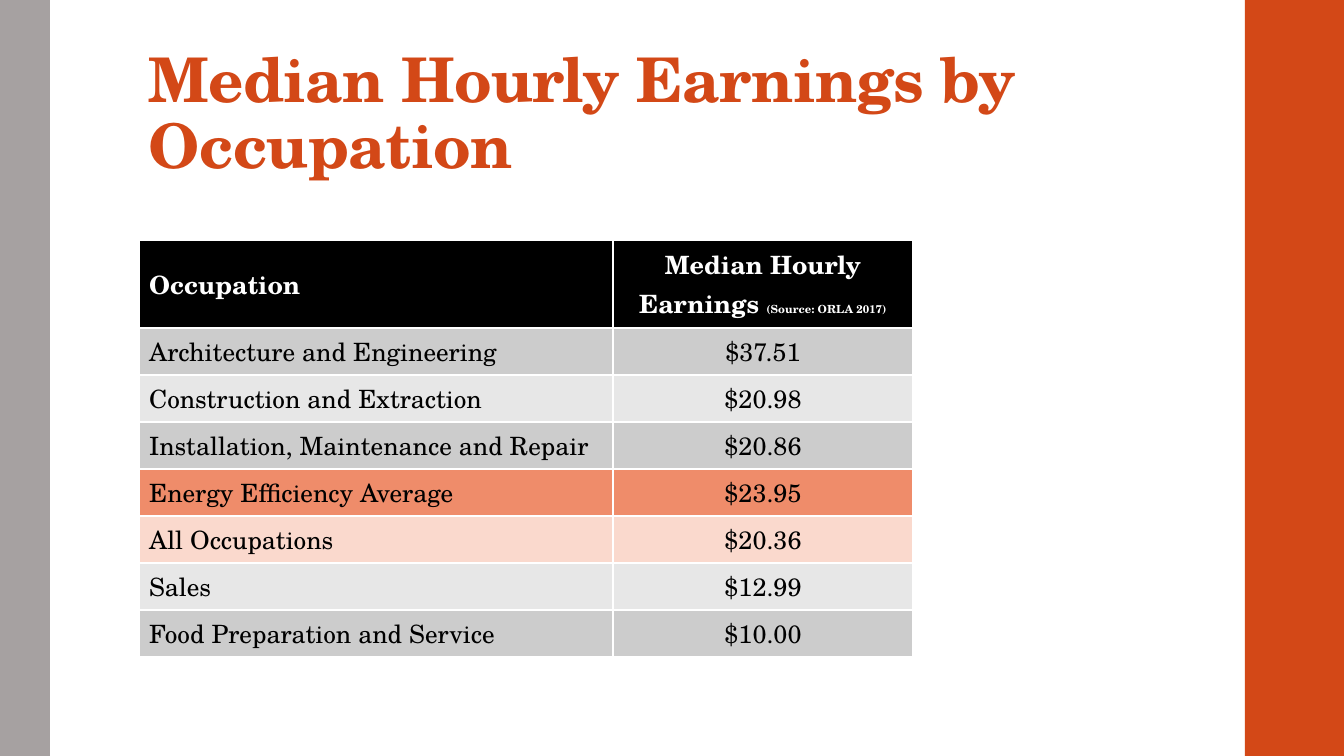
"""Build a slide with a table of median hourly earnings by occupation."""
from pptx import Presentation
from pptx.dml.color import RGBColor as Rgb
from pptx.enum.shapes import MSO_SHAPE as Kind
from pptx.enum.text import MSO_ANCHOR as Anchor, PP_ALIGN as Align
from pptx.util import Pt

THEME = {
    "font": "TeX Gyre Schola",
    "rust": "D34817", "stone": "A6A1A1", "white": "FFFFFF", "black": "000000",
    "dark": "CCCCCC", "light": "E7E7E7", "coral": "EF8C6A", "blush": "FAD9CD",
    "title": 44, "body": 18, "note": 8,
}
TITLE = "Median Hourly Earnings by Occupation"
HEAD = ["Occupation"], ["Median Hourly Earnings ", "(Source: ORLA 2017)"]
ROWS = [
    ("Architecture and Engineering", "$37.51", "dark"),
    ("Construction and Extraction", "$20.98", "light"),
    ("Installation, Maintenance and Repair", "$20.86", "dark"),
    ("Energy Efficiency Average", "$23.95", "coral"),
    ("All Occupations", "$20.36", "blush"),
    ("Sales", "$12.99", "light"),
    ("Food Preparation and Service", "$10.00", "dark"),
]
BANDS = [(1245, 99, "rust"), (0, 50, "stone")]
WIDE, HIGH = 1344, 756
TITLE_BOX = 139, 32, 1068, 155
LEFT, TOP = 139, 240
COLS = 474, 300
HEAD_H, ROW_H = 88, 47


def px(size):
    return round(size * 914400 / 100.8)


def color(name):
    return Rgb.from_string(THEME[name])


def style(font, size, ink, bold=False):
    font.name, font.size, font.bold = THEME["font"], Pt(THEME[size]), bold
    font.color.rgb = color(ink)


def paint(item, name):
    item.fill.solid()
    item.fill.fore_color.rgb = color(name)


def write(cell, parts, col, fill, ink="black", bold=False):
    paint(cell, fill)
    cell.vertical_anchor = Anchor.MIDDLE
    para = cell.text_frame.paragraphs[0]
    para.alignment = Align.CENTER if col else Align.LEFT
    for part, size in zip(parts, ("body", "note")):
        run = para.add_run()
        run.text = part
        style(run.font, size, ink, bold)


deck = Presentation()
deck.slide_width, deck.slide_height = px(WIDE), px(HIGH)
shapes = deck.slides.add_slide(deck.slide_layouts[6]).shapes

for left, width, fill in BANDS:
    band = shapes.add_shape(Kind.RECTANGLE, px(left), 0, px(width), px(HIGH))
    band.shadow.inherit = False
    paint(band, fill)
    band.line.fill.background()

frame = shapes.add_textbox(*map(px, TITLE_BOX)).text_frame
frame.word_wrap = True
frame.vertical_anchor = Anchor.BOTTOM
frame.margin_left = frame.margin_right = px(10)
frame.margin_top, frame.margin_bottom = px(3), px(5)
para = frame.paragraphs[0]
para.line_spacing = 0.9
run = para.add_run()
run.text = TITLE
style(run.font, "title", "rust", True)
run.font._element.set("spc", "-50")

table = shapes.add_table(len(ROWS) + 1, len(COLS), px(LEFT), px(TOP), px(sum(COLS)),
                         px(HEAD_H + ROW_H * len(ROWS))).table
table.horz_banding = False
table.rows[0].height = px(HEAD_H)
for col, width in enumerate(COLS):
    table.columns[col].width = px(width)
    write(table.cell(0, col), HEAD[col], col, "black", "white", True)
for row, (*texts, fill) in enumerate(ROWS, 1):
    table.rows[row].height = px(ROW_H)
    for col, text in enumerate(texts):
        write(table.cell(row, col), [text], col, fill)

deck.save("out.pptx")
